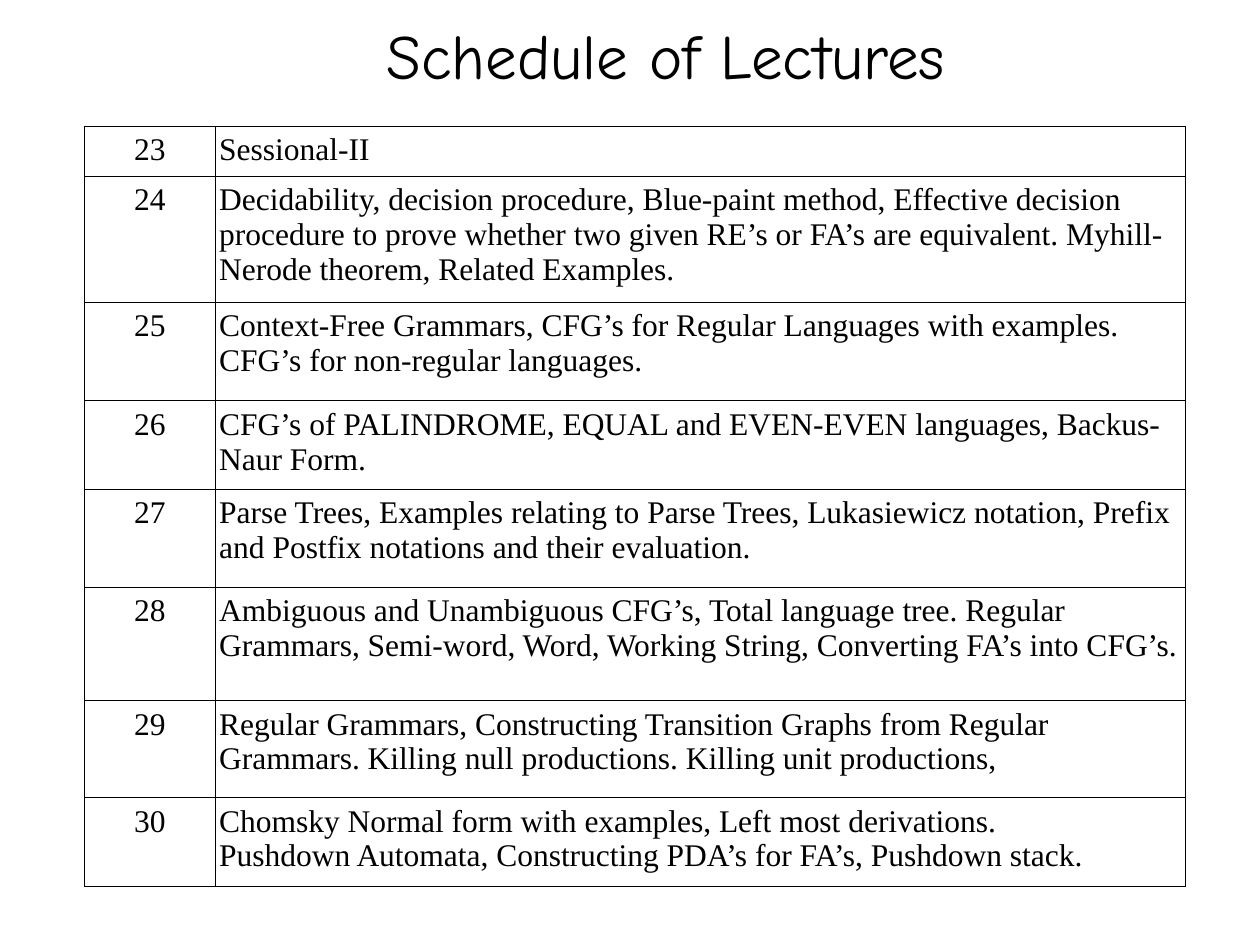
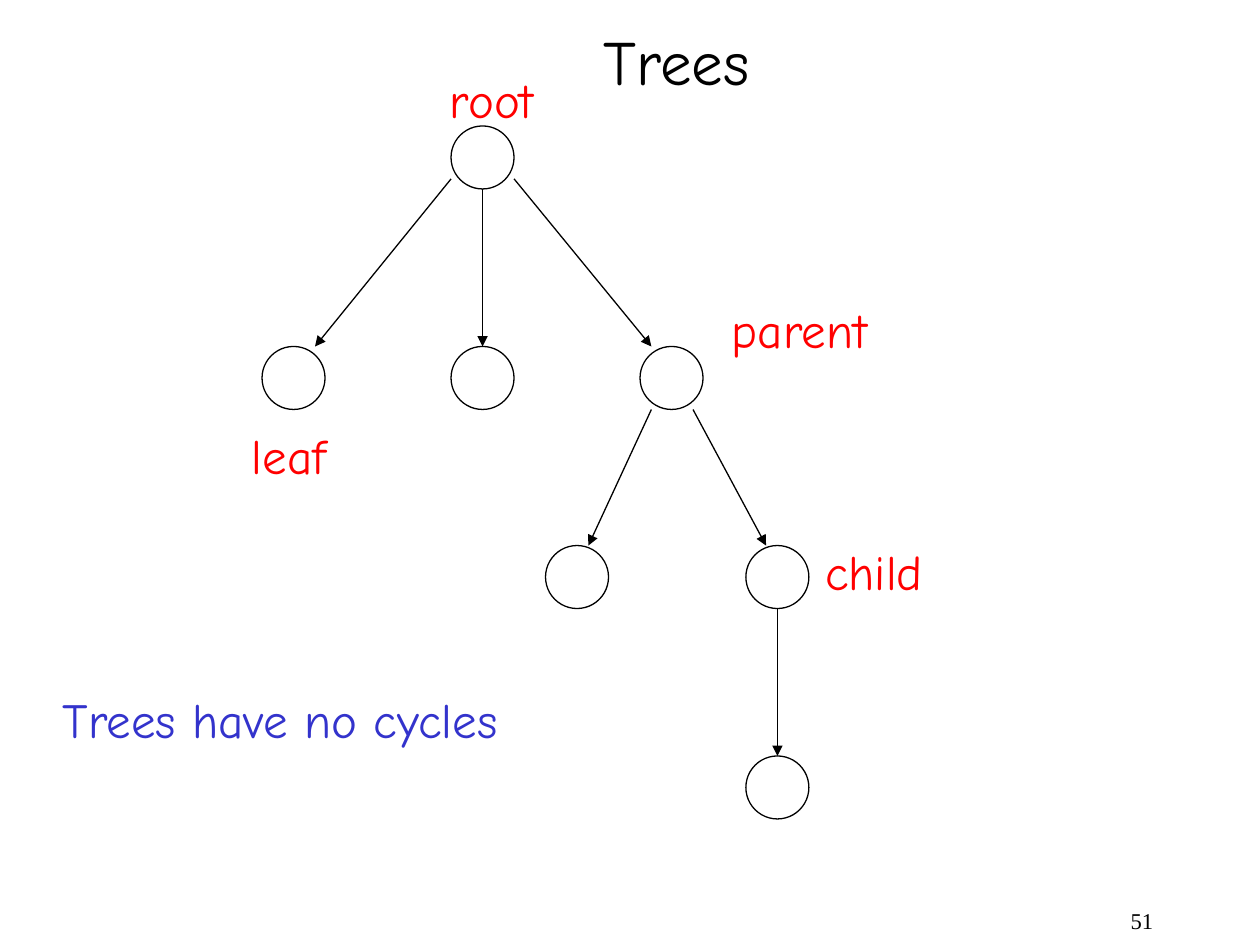
from lxml.etree import SubElement
from pptx import Presentation
from pptx.dml.color import RGBColor
from pptx.enum.shapes import MSO_CONNECTOR, MSO_SHAPE
from pptx.enum.text import MSO_ANCHOR, MSO_AUTO_SIZE, PP_ALIGN
from pptx.oxml.ns import qn
from pptx.util import Inches, Pt

# Shared look
BLACK, RED, BLUE = "000000", "FF0000", "3333CC"
HAND, SERIF = "Comic Neue", "Times New Roman"
TITLE = {"name": HAND, "size": Pt(36)}
LABEL = {"name": HAND, "size": Pt(28)}
CELL = {"name": SERIF, "size": Pt(18)}
NUMBER = {"name": SERIF, "size": Pt(12.9)}


def rgb(value):
    return RGBColor.from_string(value)


def write(tf, text, fmt, color=BLACK, align=PP_ALIGN.LEFT):
    tf.text = text
    for p in tf.paragraphs:
        p.alignment = align
        for key, value in fmt.items():
            setattr(p.font, key, value)
        p.font.color.rgb = rgb(color)


prs = Presentation()
prs.slide_width, prs.slide_height = Inches(10), Inches(7.5)

# Slides with their titles
slides = []
for text, left, top, width in [("Schedule of Lectures", 2.97, 0.08, 4.65),
                               ("Trees", 4.69, 0.13, 1.37)]:
    s = prs.slides.add_slide(prs.slide_layouts[5])
    sp = s.shapes.title
    sp.left, sp.top = Inches(left), Inches(top)
    sp.width, sp.height = Inches(width), Inches(0.7)
    tf = sp.text_frame
    write(tf, text, TITLE)
    tf.word_wrap = False
    tf.auto_size = MSO_AUTO_SIZE.SHAPE_TO_FIT_TEXT
    tf.vertical_anchor = MSO_ANCHOR.TOP
    slides.append(s)
schedule, trees = slides

# Lecture table: row height and topic, numbered from 23
FIRST_LECTURE = 23
lectures = [
    (0.4, "Sessional-II"),
    (1.0, "Decidability, decision procedure, Blue-paint method, Effective decision "
          "procedure to prove whether two given RE’s or FA’s are equivalent. "
          "Myhill-Nerode theorem, Related Examples."),
    (0.78, "Context-Free Grammars, CFG’s for Regular Languages with examples. "
           "CFG’s for non-regular languages."),
    (0.7, "CFG’s of PALINDROME, EQUAL and EVEN-EVEN languages, Backus-Naur Form."),
    (0.78, "Parse Trees, Examples relating to Parse Trees, Lukasiewicz notation, "
           "Prefix and Postfix notations and their evaluation."),
    (0.9, "Ambiguous and Unambiguous CFG’s, Total language tree. Regular Grammars, "
          "Semi-word, Word, Working String, Converting FA’s into CFG’s."),
    (0.77, "Regular Grammars, Constructing Transition Graphs from Regular Grammars. "
           "Killing null productions. Killing unit productions,"),
    (0.7, "Chomsky Normal form with examples, Left most derivations.\n"
          "Pushdown Automata, Constructing PDA’s for FA’s, Pushdown stack."),
]
height = sum(h for h, _ in lectures)
table = schedule.shapes.add_table(len(lectures), 2, Inches(0.67), Inches(1),
                                  Inches(8.74), Inches(height)).table
table.first_row = table.horz_banding = False
table.columns[0].width, table.columns[1].width = Inches(1.04), Inches(7.7)

for i, (row_height, topic) in enumerate(lectures):
    table.rows[i].height = Inches(row_height)
    columns = [(str(FIRST_LECTURE + i), PP_ALIGN.CENTER), (topic, PP_ALIGN.LEFT)]
    for j, (text, align) in enumerate(columns):
        cell = table.cell(i, j)
        cell.margin_left = cell.margin_right = Inches(0.03)
        cell.margin_top = cell.margin_bottom = Inches(0.05)
        write(cell.text_frame, text, CELL, align=align)
        # Borders come before the fill in the cell properties
        tc_pr = cell._tc.get_or_add_tcPr()
        for side in ("a:lnL", "a:lnR", "a:lnT", "a:lnB"):
            ln = SubElement(tc_pr, qn(side), w=str(Pt(0.45)))
            SubElement(SubElement(ln, qn("a:solidFill")), qn("a:srgbClr"), val=BLACK)
        cell.fill.background()

# Tree nodes
NODE = 0.5
nodes = [(3.58, 1), (2.08, 2.75), (3.58, 2.75), (5.08, 2.75),
         (4.33, 4.33), (5.92, 4.33), (5.92, 6)]
for left, top in nodes:
    sp = trees.shapes.add_shape(MSO_SHAPE.OVAL, Inches(left), Inches(top),
                                Inches(NODE), Inches(NODE))
    sp.shadow.inherit = False
    sp.fill.background()
    sp.line.color.rgb = rgb(BLACK)
    sp.line.width = Pt(0.75)

# Arrows from parent to child
edges = [(3.58, 1.42, 2.5, 2.75), (3.83, 1.5, 3.83, 2.75), (4.08, 1.42, 5.17, 2.75),
         (5.17, 3.25, 4.67, 4.33), (5.5, 3.25, 6.08, 4.33), (6.17, 4.83, 6.17, 6)]
for edge in edges:
    arrow = trees.shapes.add_connector(MSO_CONNECTOR.STRAIGHT, *map(Inches, edge))
    arrow.line.color.rgb = rgb(BLACK)
    arrow.line.width = Pt(0.75)
    SubElement(arrow.line._get_or_add_ln(), qn("a:tailEnd"), type="triangle")
    SubElement(arrow._element.spPr, qn("a:effectLst"))

# Node labels and remark, in boxes that fit their text
labels = [("root", 3.47, 0.5, 0.87, RED), ("leaf", 1.9, 3.33, 0.79, RED),
          ("parent", 5.71, 2.33, 1.28, RED), ("child", 6.45, 4.25, 0.98, RED),
          ("Trees have no cycles", 0.4, 5.42, 3.67, BLUE)]
for text, left, top, width, color in labels:
    sp = trees.shapes.add_textbox(Inches(left), Inches(top), Inches(width), Inches(0.57))
    tf = sp.text_frame
    tf.word_wrap = False
    tf.auto_size = MSO_AUTO_SIZE.SHAPE_TO_FIT_TEXT
    write(tf, text, LABEL, color)

# Slide number
sp = trees.shapes.add_textbox(Inches(7.17), Inches(7.17), Inches(2.08), Inches(0.33))
sp.text_frame.word_wrap = True
write(sp.text_frame, "51", NUMBER, align=PP_ALIGN.RIGHT)
sp.text_frame.paragraphs[0].line_spacing = 0.9

prs.save("out.pptx")
